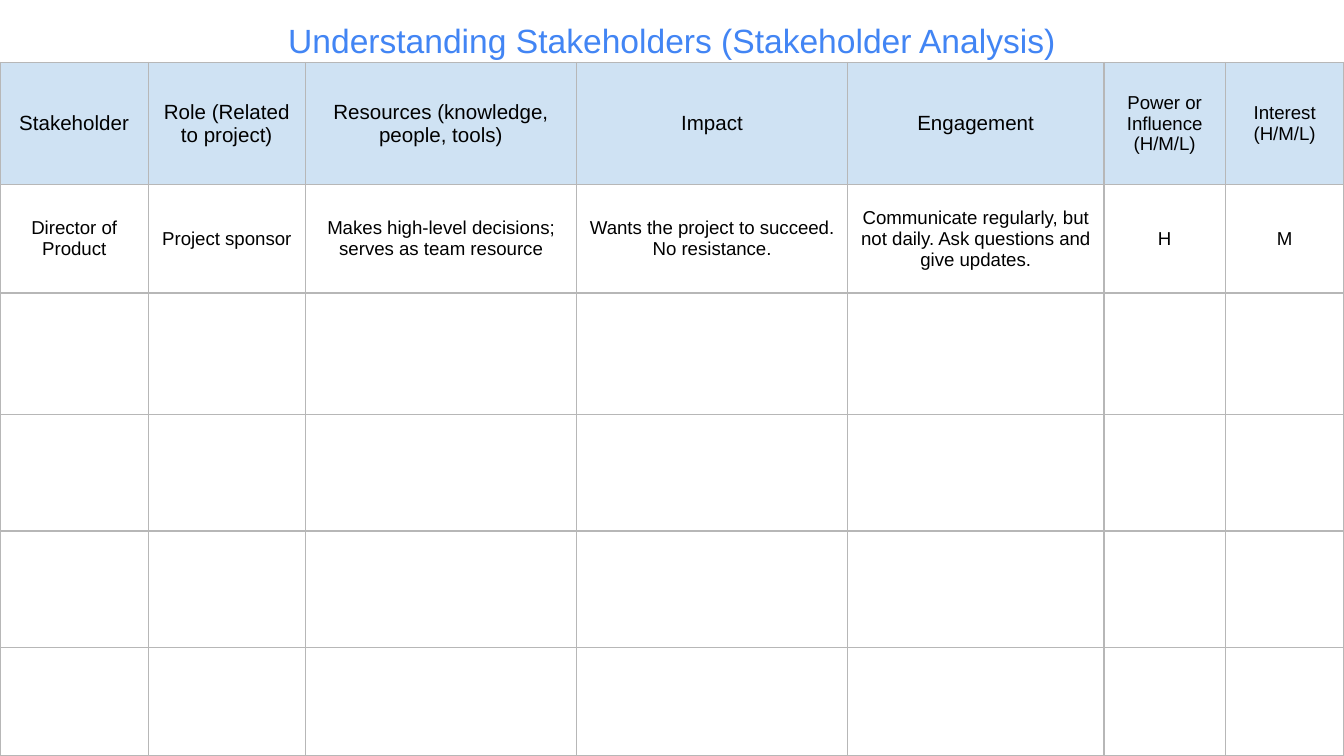
from lxml import etree
from pptx import Presentation
from pptx.dml.color import RGBColor
from pptx.enum.text import MSO_ANCHOR, MSO_AUTO_SIZE, PP_ALIGN
from pptx.oxml.ns import qn
from pptx.util import Pt

COLORS = {"title": "4285F4", "text": "000000", "header": "CFE2F3", "border": "B7B7B7"}
FONT = "Arial"
SLIDE_W, SLIDE_H = 720, 405
TABLE_TOP = 33.5

COL_WIDTHS = [79.5, 84, 145.5, 145, 137.5, 65, 63.5]
ROW_HEIGHTS = [65.5, 58, 65, 62.5, 62.5, 58]
HEADERS = ["Stakeholder", "Role (Related to project)",
           "Resources (knowledge, people, tools)", "Impact", "Engagement",
           "Power or Influence (H/M/L)", "Interest (H/M/L)"]
HEADER_SIZES = [11] * 5 + [10] * 2
STAKEHOLDERS = [
    ["Director of Product", "Project sponsor",
     "Makes high-level decisions; serves as team resource",
     "Wants the project to succeed. No resistance.",
     "Communicate regularly, but not daily. Ask questions and give updates.",
     "H", "M"],
]


def rgb(name):
    return RGBColor.from_string(COLORS[name])


def add_run(p, text, size, color):
    p.alignment = PP_ALIGN.CENTER
    r = p.add_run()
    r.text = text
    r.font.name = FONT
    r.font.size = Pt(size)
    r.font.color.rgb = rgb(color)


def set_borders(cell):
    """Draw all four cell edges; lines must precede the fill in tcPr."""
    tc_pr = cell._tc.get_or_add_tcPr()
    for i, side in enumerate(("lnL", "lnR", "lnT", "lnB")):
        ln = etree.Element(qn(f"a:{side}"), w=str(Pt(0.75)))
        fill = etree.SubElement(ln, qn("a:solidFill"))
        etree.SubElement(fill, qn("a:srgbClr"), val=COLORS["border"])
        tc_pr.insert(i, ln)


def fill_cell(cell, text, size, is_header):
    cell.vertical_anchor = MSO_ANCHOR.MIDDLE
    cell.margin_left = cell.margin_right = Pt(5)
    cell.margin_top = cell.margin_bottom = Pt(3.6)
    if is_header:
        cell.fill.solid()
        cell.fill.fore_color.rgb = rgb("header")
    else:
        cell.fill.background()
    set_borders(cell)
    if text:
        add_run(cell.text_frame.paragraphs[0], text, size, "text")


def place_title(s, x, y, w, h):
    sp = s.shapes.title
    sp.left, sp.top, sp.width, sp.height = Pt(x), Pt(y), Pt(w), Pt(h)
    tf = sp.text_frame
    tf.word_wrap = True
    tf.auto_size = MSO_AUTO_SIZE.NONE
    tf.vertical_anchor = MSO_ANCHOR.TOP
    tf.margin_left = tf.margin_right = tf.margin_top = tf.margin_bottom = Pt(7.2)
    p = tf.paragraphs[0]
    p.line_spacing = 1.15
    p.space_before = Pt(0)
    add_run(p, "Understanding Stakeholders (Stakeholder Analysis)", 18, "title")


def add_stakeholder_table(s, x, y):
    rows, cols = len(ROW_HEIGHTS), len(COL_WIDTHS)
    table = s.shapes.add_table(rows, cols, Pt(x), Pt(y), Pt(sum(COL_WIDTHS)),
                               Pt(sum(ROW_HEIGHTS))).table
    table.horz_banding = False
    table.first_row = False
    for col, width in zip(table.columns, COL_WIDTHS):
        col.width = Pt(width)
    for row, height in zip(table.rows, ROW_HEIGHTS):
        row.height = Pt(height)

    blank_rows = [[""] * cols] * (rows - 1 - len(STAKEHOLDERS))
    for i, texts in enumerate([HEADERS] + STAKEHOLDERS + blank_rows):
        for j, text in enumerate(texts):
            size = HEADER_SIZES[j] if i == 0 else 10
            fill_cell(table.cell(i, j), text, size, i == 0)


def main():
    prs = Presentation()
    prs.slide_width, prs.slide_height = Pt(SLIDE_W), Pt(SLIDE_H)
    s = prs.slides.add_slide(prs.slide_layouts[5])
    place_title(s, 0, 0, SLIDE_W, 36)
    add_stakeholder_table(s, 0, TABLE_TOP)
    prs.save("out.pptx")


if __name__ == "__main__":
    main()
